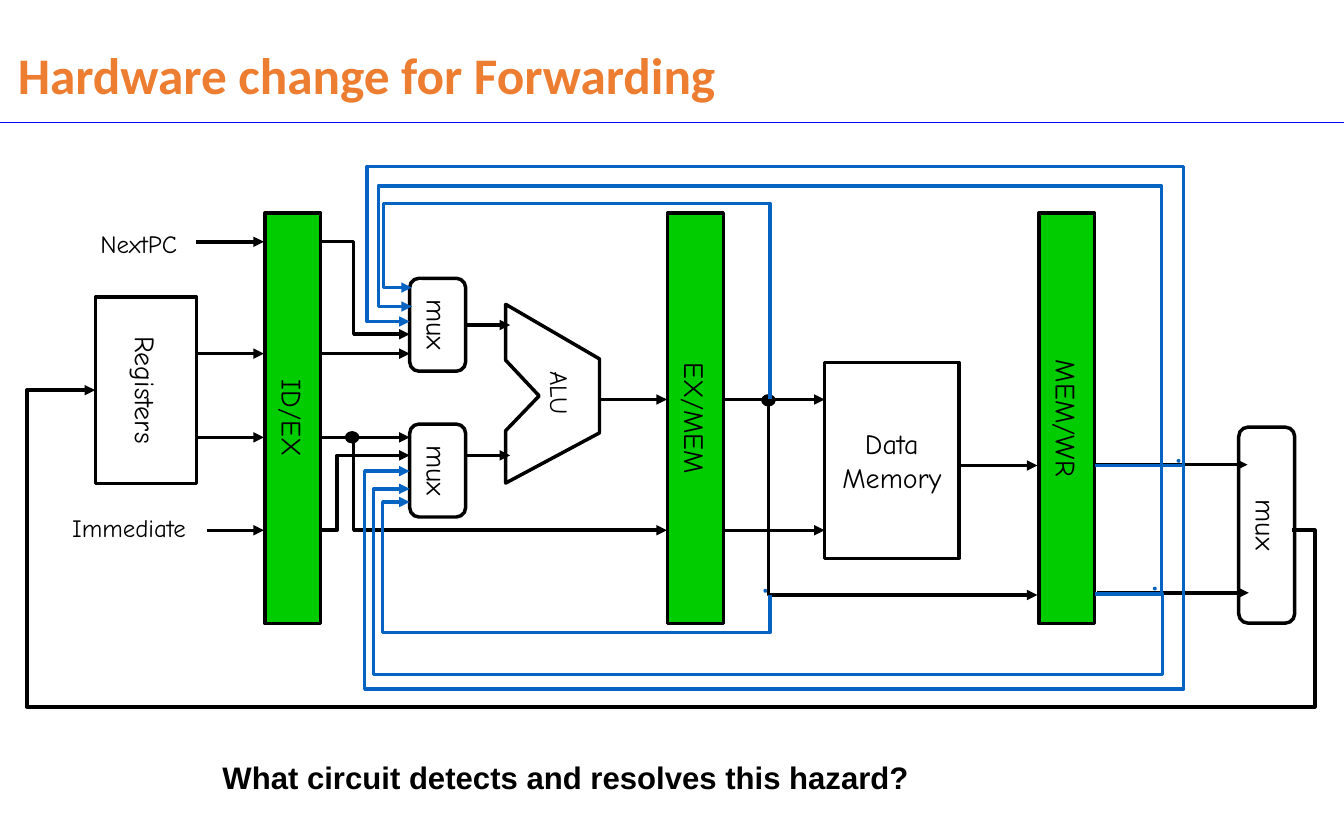
from lxml.etree import SubElement
from pptx import Presentation
from pptx.dml.color import RGBColor
from pptx.enum.shapes import MSO_CONNECTOR, MSO_SHAPE
from pptx.enum.text import MSO_ANCHOR, MSO_AUTO_SIZE, PP_ALIGN
from pptx.oxml.ns import qn
from pptx.util import Cm, Pt

BLACK = RGBColor(0x00, 0x00, 0x00)
GREEN = RGBColor(0x00, 0xCC, 0x00)
BLUE = RGBColor(0x05, 0x63, 0xC1)
RULE = RGBColor(0x00, 0x00, 0xFF)
ORANGE = RGBColor(0xED, 0x7D, 0x31)
HAND = "Comic Neue"
WIDE, HIGH = 30.51, 19.05
BAR = 1.27


def style(frame, text, size, font=HAND, color=BLACK, bold=False, align=PP_ALIGN.CENTER):
    frame.text = text
    for line in frame.paragraphs:
        line.alignment = align
        for run in line.runs:
            run.font.name = font
            run.font.size = Pt(size)
            run.font.bold = bold
            run.font.color.rgb = color


def place(shape, x, y, w, h, turn=False):
    if turn:
        x, y, w, h = x + (w - h) / 2, y + (h - w) / 2, h, w
        shape.rotation = 90
    shape.left, shape.top, shape.width, shape.height = Cm(x), Cm(y), Cm(w), Cm(h)


def stroke(shape, color=BLACK, width=2.25):
    shape.line.color.rgb = color
    shape.line.width = Pt(width)


def arrow(shape):
    SubElement(shape.element.spPr.find(qn("a:ln")), qn("a:tailEnd"), type="triangle")


def block(slide, kind, frame, text="", fill=None, turn=False, line=BLACK):
    shape = slide.shapes.add_shape(kind, 0, 0, 0, 0)
    place(shape, *frame, turn)
    shape.shadow.inherit = False
    if fill is None:
        shape.fill.background()
    else:
        shape.fill.solid()
        shape.fill.fore_color.rgb = fill
    stroke(shape, line)
    if text:
        shape.text_frame.vertical_anchor = MSO_ANCHOR.MIDDLE
        style(shape.text_frame, text, 18)
    return shape


def label(slide, frame, text, size=16, turn=False, **look):
    box = slide.shapes.add_textbox(0, 0, 0, 0)
    place(box, *frame, turn)
    box.text_frame.word_wrap = True
    box.text_frame.vertical_anchor = MSO_ANCHOR.MIDDLE
    style(box.text_frame, text, size, **look)


def line(slide, x, y, end, color=BLACK, width=2.25, head=True, source=None):
    wire = slide.shapes.add_connector(MSO_CONNECTOR.STRAIGHT, Cm(x), Cm(y), Cm(end), Cm(y))
    if source is not None:
        wire.begin_connect(source, 0)
        wire.begin_x, wire.begin_y = Cm(x), Cm(y)
    stroke(wire, color, width)
    if head:
        arrow(wire)
    SubElement(wire.element.spPr, qn("a:effectLst"))


def trace(slide, points, color=BLACK, close=False):
    first, *rest = [(Cm(x), Cm(y)) for x, y in points]
    path = slide.shapes.build_freeform(*first, scale=1.0)
    path.add_line_segments(rest, close=close)
    shape = path.convert_to_shape()
    shape.shadow.inherit = False
    shape.fill.background()
    stroke(shape, color)
    return shape


def route(slide, start, axis, turns, color=BLACK):
    point = list(start)
    points = [start]
    for turn in turns:
        point[axis] = turn
        points.append(tuple(point))
        axis = 1 - axis
    arrow(trace(slide, points, color))


def dot(slide, x, y, w, h, line=BLACK):
    block(slide, MSO_SHAPE.OVAL, (x, y, w, h), fill=BLACK, line=line)


def head(slide):
    line(slide, 0, 2.79, WIDE, RULE, 0.75, head=False)
    title = slide.shapes.title
    place(title, 0.15, 1.02, 23.93, 1)
    frame = title.text_frame
    frame.auto_size = MSO_AUTO_SIZE.NONE
    frame.vertical_anchor = MSO_ANCHOR.TOP
    style(frame, "Hardware change for Forwarding", 33, "Calibri", ORANGE, True, PP_ALIGN.LEFT)
    frame.paragraphs[0].line_spacing = 0.9


def parts(slide):
    for x, name in ((6.01, "ID/EX"), (15.15, "EX/MEM"), (23.58, "MEM/WR")):
        block(slide, MSO_SHAPE.RECTANGLE, (x, 4.84, BAR, 9.32), name, GREEN, True)
    block(slide, MSO_SHAPE.RECTANGLE, (2.17, 6.74, 2.29, 4.24), "Registers", turn=True)
    block(slide, MSO_SHAPE.RECTANGLE, (18.72, 8.23, 3.05, 4.45), "Data\nMemory")
    trace(slide, ((11.48, 6.91), (13.61, 8.15), (13.61, 9.83), (11.48, 10.97),
                  (11.48, 9.78), (12.24, 8.99), (11.48, 8.18)), close=True)
    label(slide, (11.9, 8.17, 1.63, 1.5), "ALU", turn=True)
    label(slide, (1.65, 5.05, 3, 0.94), "NextPC")
    label(slide, (0.91, 11.51, 4.04, 0.94), "Immediate")
    return [block(slide, MSO_SHAPE.ROUNDED_RECTANGLE, (x, y, BAR, h), "mux", turn=True)
            for x, y, h in ((9.3, 6.32, 2.11), (9.3, 9.63, 2.11), (28.12, 9.7, 4.45))]


def wires(slide, mux):
    line(slide, 10.57, 7.38, 11.58, source=mux)
    for x, y, end in ((10.57, 10.34, 11.58), (4.45, 8.03, 5.99), (4.45, 9.93, 5.99),
                      (7.25, 8.03, 9.3), (7.25, 9.93, 9.3), (4.45, 5.49, 5.99),
                      (4.7, 12.04, 5.99), (16.42, 12.04, 18.72), (13.61, 9.07, 15.14),
                      (16.42, 9.07, 18.72), (21.77, 10.57, 23.55), (24.9, 13.46, 28.35),
                      (24.85, 10.55, 28.32)):
        line(slide, x, y, end)
    for start, axis, turns in (((7.25, 5.49), 0, (8.03, 7.59, 9.3)),
                               ((7.25, 12.04), 0, (7.65, 10.34, 9.3)),
                               ((8.03, 9.93), 1, (12.04, 15.14)),
                               ((17.45, 9.07), 1, (13.51, 23.55)),
                               ((29.34, 12.04), 0, (29.85, 16.05, 0.61, 8.86, 2.16))):
        route(slide, start, axis, turns)
    dot(slide, 17.32, 8.99, 0.25, 0.2)
    dot(slide, 7.87, 9.83, 0.25, 0.2)


def forward(slide):
    for start, axis, turns in (((17.48, 13.51), 1, (14.36, 8.69, 11.4, 9.3)),
                               ((26.87, 10.57), 1, (3.78, 8.33, 7.3, 9.3)),
                               ((24.85, 13.49), 0, (26.39, 15.32, 8.48, 11.1, 9.3)),
                               ((24.85, 10.57), 0, (26.87, 15.65, 8.28, 10.7, 9.3)),
                               ((17.48, 9.07), 1, (4.62, 8.71, 6.53, 9.35)),
                               ((26.37, 13.51), 1, (4.22, 8.59, 6.96, 9.35))):
        route(slide, start, axis, turns, BLUE)
    for x, y in ((17.37, 13.41), (26.21, 13.36), (26.75, 10.46)):
        dot(slide, x, y, 0.01, 0.01, BLUE)


def main():
    deck = Presentation()
    deck.slide_width, deck.slide_height = Cm(WIDE), Cm(HIGH)
    slide = deck.slides.add_slide(deck.slide_layouts[5])
    head(slide)
    muxes = parts(slide)
    wires(slide, muxes[0])
    forward(slide)
    label(slide, (4.8, 17.09, 19.28, 1.12), "What circuit detects and resolves this hazard?",
          20, font="Arial", bold=True, align=PP_ALIGN.LEFT)
    deck.save("out.pptx")


if __name__ == "__main__":
    main()
